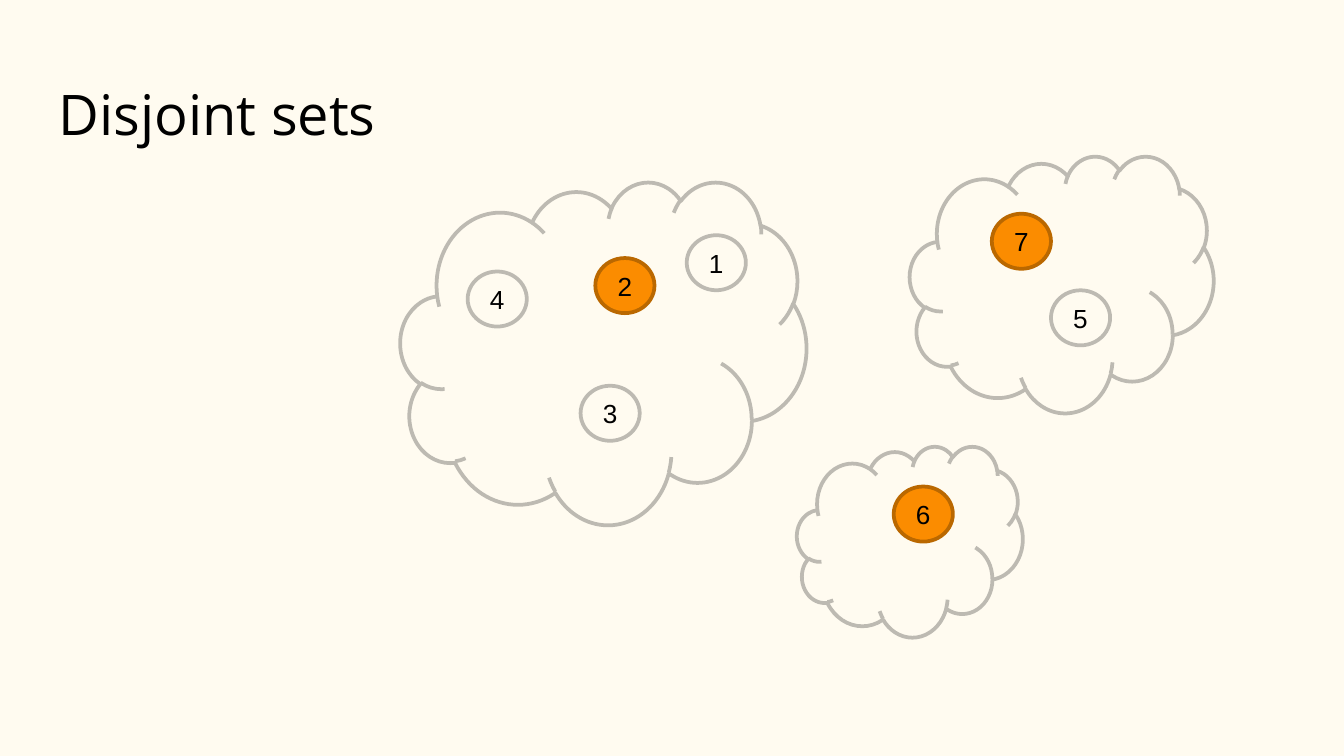
from dataclasses import dataclass

from pptx import Presentation
from pptx.dml.color import RGBColor
from pptx.enum.shapes import MSO_SHAPE
from pptx.enum.text import MSO_ANCHOR, PP_ALIGN
from pptx.util import Inches, Pt

CLOUD, OVAL = MSO_SHAPE.CLOUD, MSO_SHAPE.OVAL
LEFT, CENTER = PP_ALIGN.LEFT, PP_ALIGN.CENTER
TOP, MIDDLE = MSO_ANCHOR.TOP, MSO_ANCHOR.MIDDLE

CREAM = RGBColor(0xFF, 0xFB, 0xF0)
GRAY = RGBColor(0xBD, 0xBA, 0xB2)
ORANGE = RGBColor(0xFB, 0x8C, 0x00)
BROWN = RGBColor(0xBA, 0x68, 0x00)
BLACK = RGBColor(0, 0, 0)

NODE_W, NODE_H = 0.44, 0.41


@dataclass
class Node:
    label: str
    x: float
    y: float
    root: bool = False


@dataclass
class Group:
    x: float
    y: float
    w: float
    h: float
    nodes: list[Node]


GROUPS = [
    Group(2.98, 1.35, 3.02, 2.55, [
        Node("1", 5.11, 1.75),
        Node("2", 4.43, 1.92, root=True),
        Node("3", 4.32, 2.87),
        Node("4", 3.48, 2.02),
    ]),
    Group(6.77, 1.16, 2.26, 1.91, [
        Node("7", 7.38, 1.59, root=True),
        Node("5", 7.82, 2.16),
    ]),
    Group(5.93, 3.32, 1.68, 1.42, [Node("6", 6.65, 3.62, root=True)]),
]


def write(shape, text: str, *, size: float, font: str, align=LEFT,
          anchor=TOP, inset: float = 0, wrap: bool = True) -> None:
    frame = shape.text_frame
    frame.word_wrap = wrap
    frame.vertical_anchor = anchor
    frame.margin_left = frame.margin_right = Inches(inset)
    frame.margin_top = frame.margin_bottom = Inches(inset)
    para = frame.paragraphs[0]
    para.alignment = align
    run = para.add_run()
    run.text = text
    run.font.size = Pt(size)
    run.font.name = font
    run.font.color.rgb = BLACK


def draw_shape(slide, kind, x: float, y: float, w: float, h: float,
               line: RGBColor, fill: RGBColor | None = None):
    shape = slide.shapes.add_shape(kind, Inches(x), Inches(y), Inches(w), Inches(h))
    shape.shadow.inherit = False
    if fill is None:
        shape.fill.background()
    else:
        shape.fill.solid()
        shape.fill.fore_color.rgb = fill
    shape.line.color.rgb = line
    shape.line.width = Pt(2)
    return shape


def draw_node(slide, node: Node) -> None:
    line, fill = (BROWN, ORANGE) if node.root else (GRAY, CREAM)
    oval = draw_shape(slide, OVAL, node.x, node.y, NODE_W, NODE_H, line, fill)
    write(oval, node.label, size=14, font="Arial", align=CENTER,
          anchor=MIDDLE, wrap=False)


def draw_group(slide, group: Group) -> None:
    draw_shape(slide, CLOUD, group.x, group.y, group.w, group.h, GRAY)
    for node in group.nodes:
        draw_node(slide, node)


# Widescreen 16:9 slide and background
deck = Presentation()
deck.slide_width = Inches(10)
deck.slide_height = Inches(10 * 9 / 16)
slide = deck.slides.add_slide(deck.slide_layouts[6])
slide.background.fill.solid()
slide.background.fill.fore_color.rgb = CREAM

# Title
title = slide.shapes.add_textbox(Inches(0.34), Inches(0.49), Inches(9.32), Inches(0.67))
write(title, "Disjoint sets", size=30, font="Open Sans", inset=0.1)

# Sets with their members
for group in GROUPS:
    draw_group(slide, group)

deck.save("out.pptx")
